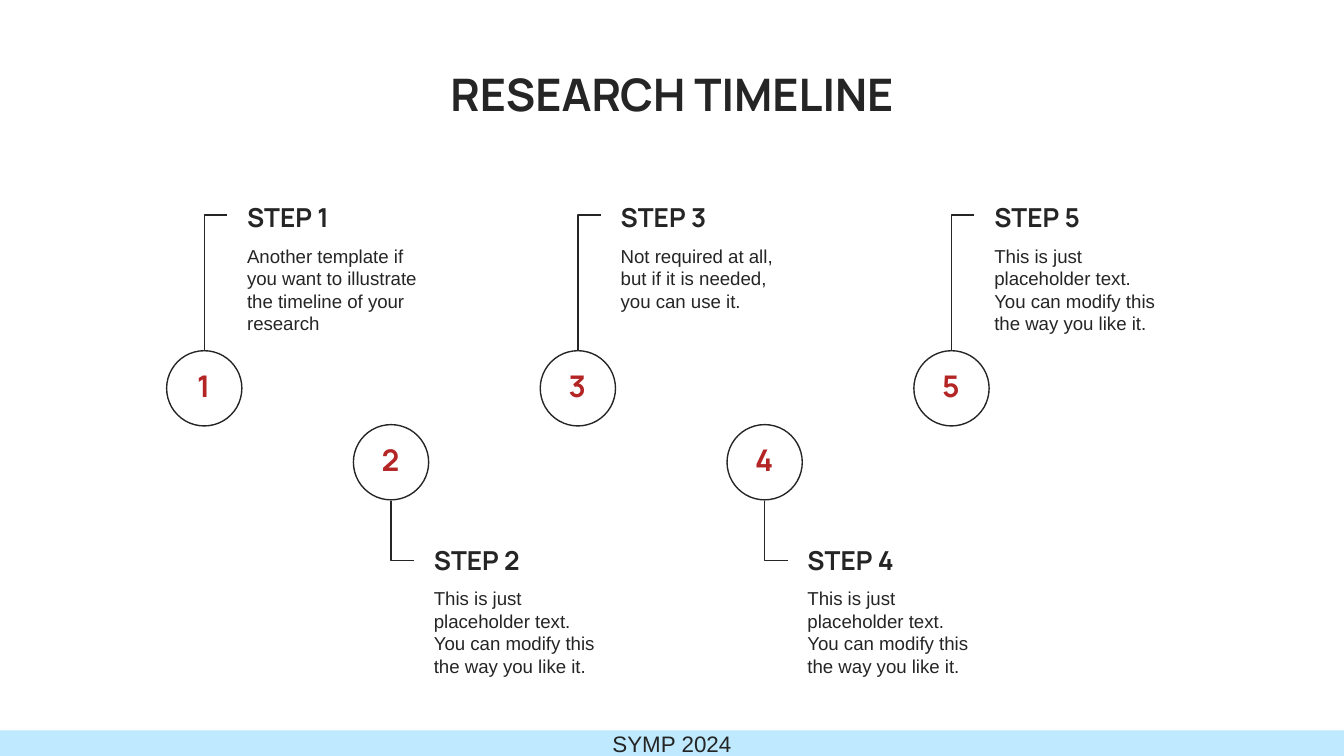
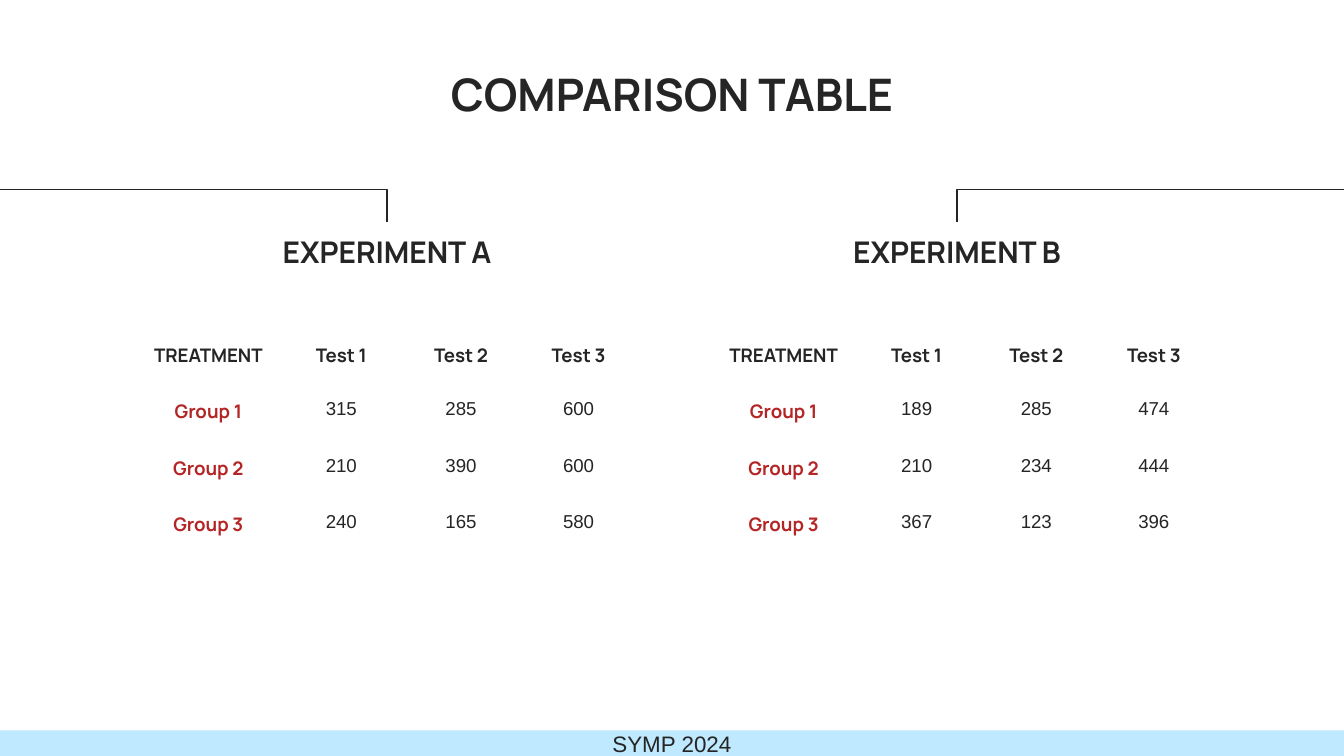
"""Build a research timeline slide and a comparison table slide."""
from pptx import Presentation
from pptx.dml.color import RGBColor
from pptx.enum.shapes import MSO_SHAPE as Shape
from pptx.enum.text import MSO_ANCHOR as Anchor, MSO_AUTO_SIZE as AutoSize, PP_ALIGN as Align
from pptx.util import Inches, Pt

COLORS = {"ink": "252525", "accent": "B42526", "band": "BEE9FE"}
HEADING_FONT, BODY_FONT = "Manrope", "Arial"
WIDTH = 10
HEIGHT = WIDTH * 9 / 16
MARGIN = Inches(0.1)


def write(text_frame, text, size, font=HEADING_FONT, color="ink", align=Align.CENTER, anchor=None):
    text_frame.text = text
    if anchor is not None:
        text_frame.word_wrap = True
        text_frame.auto_size = AutoSize.NONE
        text_frame.vertical_anchor = anchor
        text_frame.margin_left = text_frame.margin_right = MARGIN
        text_frame.margin_top = text_frame.margin_bottom = MARGIN
    paragraph = text_frame.paragraphs[0]
    paragraph.alignment = align
    run_font = paragraph.runs[0].font
    run_font.name, run_font.size = font, Pt(size)
    run_font.bold = font == HEADING_FONT
    run_font.color.rgb = RGBColor.from_string(COLORS[color])


def draw_bracket(slide, points):
    start, *corners = [(Inches(x), Inches(y)) for x, y in points]
    builder = slide.shapes.build_freeform(*start)
    builder.add_line_segments(corners, close=False)
    bracket = builder.convert_to_shape()
    bracket.shadow.inherit = False
    bracket.fill.background()
    bracket.line.color.rgb = RGBColor.from_string(COLORS["ink"])
    bracket.line.width = Pt(0.75)


presentation = Presentation()
presentation.slide_width, presentation.slide_height = Inches(WIDTH), Inches(HEIGHT)

TITLE_WIDTH = 5.23
slides = []
for title_text in ("RESEARCH TIMELINE", "COMPARISON TABLE"):
    slide = presentation.slides.add_slide(presentation.slide_layouts[5])
    title = slide.shapes.title
    title.left, title.top = Inches((WIDTH - TITLE_WIDTH) / 2), Inches(0.3)
    title.width, title.height = Inches(TITLE_WIDTH), Inches(0.7)
    write(title.text_frame, title_text, 24, anchor=Anchor.BOTTOM)
    slides.append(slide)
timeline, comparison = slides

BAND_HEIGHT = 0.19
band = timeline.shapes.add_shape(
    Shape.RECTANGLE, 0, Inches(HEIGHT - BAND_HEIGHT), Inches(WIDTH), Inches(BAND_HEIGHT))
band.shadow.inherit = False
band.fill.solid()
band.fill.fore_color.rgb = RGBColor.from_string(COLORS["band"])
band.line.fill.background()
write(band.text_frame, "SYMP 2024", 12, BODY_FONT, anchor=Anchor.MIDDLE)
band.text_frame.margin_top = band.text_frame.margin_bottom = 0
presentation.slide_master.shapes.element.append(band.element)

PLACEHOLDER = "This is just placeholder text. You can modify this the way you like it."
STEPS = [
    "Another template if you want to illustrate the timeline of your research",
    PLACEHOLDER,
    "Not required at all, but if it is needed, you can use it.",
    PLACEHOLDER,
    PLACEHOLDER,
]
STEP_LEFT, STEP_PITCH, DIAMETER = 1.24, 1.39, 0.56
ROWS = [
    {"circle": 2.61, "label": 1.4, "bracket": (1.6, 2.61)},
    {"circle": 3.16, "label": 3.95, "bracket": (4.17, 3.73)},
]
for index, description in enumerate(STEPS):
    row = ROWS[index % 2]
    left = STEP_LEFT + index * STEP_PITCH
    circle = timeline.shapes.add_shape(
        Shape.OVAL, Inches(left), Inches(row["circle"]), Inches(DIAMETER), Inches(DIAMETER))
    circle.shadow.inherit = False
    circle.fill.background()
    circle.line.color.rgb = RGBColor.from_string(COLORS["ink"])
    circle.line.width = Pt(0.75)

    number = timeline.shapes.add_textbox(
        Inches(left + 0.08), Inches(row["circle"] + 0.05), Inches(0.39), Inches(0.42))
    write(number.text_frame, str(index + 1), 16, color="accent", anchor=Anchor.MIDDLE)

    text_left, text_width = Inches(left + 0.5), Inches(1.47)
    label = timeline.shapes.add_textbox(text_left, Inches(row["label"]), text_width, Inches(0.42))
    write(label.text_frame, f"STEP {index + 1}", 14, align=Align.LEFT, anchor=Anchor.TOP)
    body = timeline.shapes.add_textbox(
        text_left, Inches(row["label"] + 0.32), text_width, Inches(0.79))
    write(body.text_frame, description, 10, BODY_FONT, align=Align.LEFT, anchor=Anchor.TOP)
    body.text_frame.paragraphs[0].space_after = Pt(16)

    stem = left + DIAMETER / 2
    arm_y, circle_y = row["bracket"]
    draw_bracket(timeline, [(stem + 0.17, arm_y), (stem, arm_y), (stem, circle_y)])

HEADER = ("TREATMENT", "Test 1", "Test 2", "Test 3")
EXPERIMENTS = {
    "EXPERIMENT A": [(315, 285, 600), (210, 390, 600), (240, 165, 580)],
    "EXPERIMENT B": [(189, 285, 474), (210, 234, 444), (367, 123, 396)],
}
COLUMN_WIDTHS = (1.08, 0.9, 0.88, 0.87)
ROW_HEIGHT, TABLE_LEFT, TABLE_PITCH = 0.42, 1.01, 4.28
HEADING_WIDTH = 2.51
for index, (name, results) in enumerate(EXPERIMENTS.items()):
    drop, edge = ((2.88, 0), (WIDTH - 2.88, WIDTH))[index]
    draw_bracket(comparison, [(drop, 1.65), (drop, 1.41), (edge, 1.41)])
    heading = comparison.shapes.add_textbox(
        Inches(drop - HEADING_WIDTH / 2), Inches(1.64), Inches(HEADING_WIDTH), Inches(0.42))
    write(heading.text_frame, name, 16, anchor=Anchor.TOP)

    rows = [HEADER] + [(f"Group {group}", *values) for group, values in enumerate(results, 1)]
    row_count = len(rows) + 1
    table = comparison.shapes.add_table(
        row_count, len(HEADER), Inches(TABLE_LEFT + index * TABLE_PITCH), Inches(2.03),
        Inches(sum(COLUMN_WIDTHS)), Inches(ROW_HEIGHT * row_count)).table
    table.first_row = table.horz_banding = False
    for column, column_width in zip(table.columns, COLUMN_WIDTHS):
        column.width = Inches(column_width)
    for cell in table.iter_cells():
        cell.fill.background()
    table.cell(0, 1).merge(table.cell(0, len(HEADER) - 1))
    for row_index, values in enumerate(rows, 1):
        for column_index, value in enumerate(values):
            cell = table.cell(row_index, column_index)
            cell.margin_left = cell.margin_right = MARGIN
            cell.margin_top = cell.margin_bottom = MARGIN
            is_number = isinstance(value, int)
            is_group = row_index > 1 and column_index == 0
            write(cell.text_frame, str(value), 10, BODY_FONT if is_number else HEADING_FONT,
                  "accent" if is_group else "ink")

presentation.save("out.pptx")
